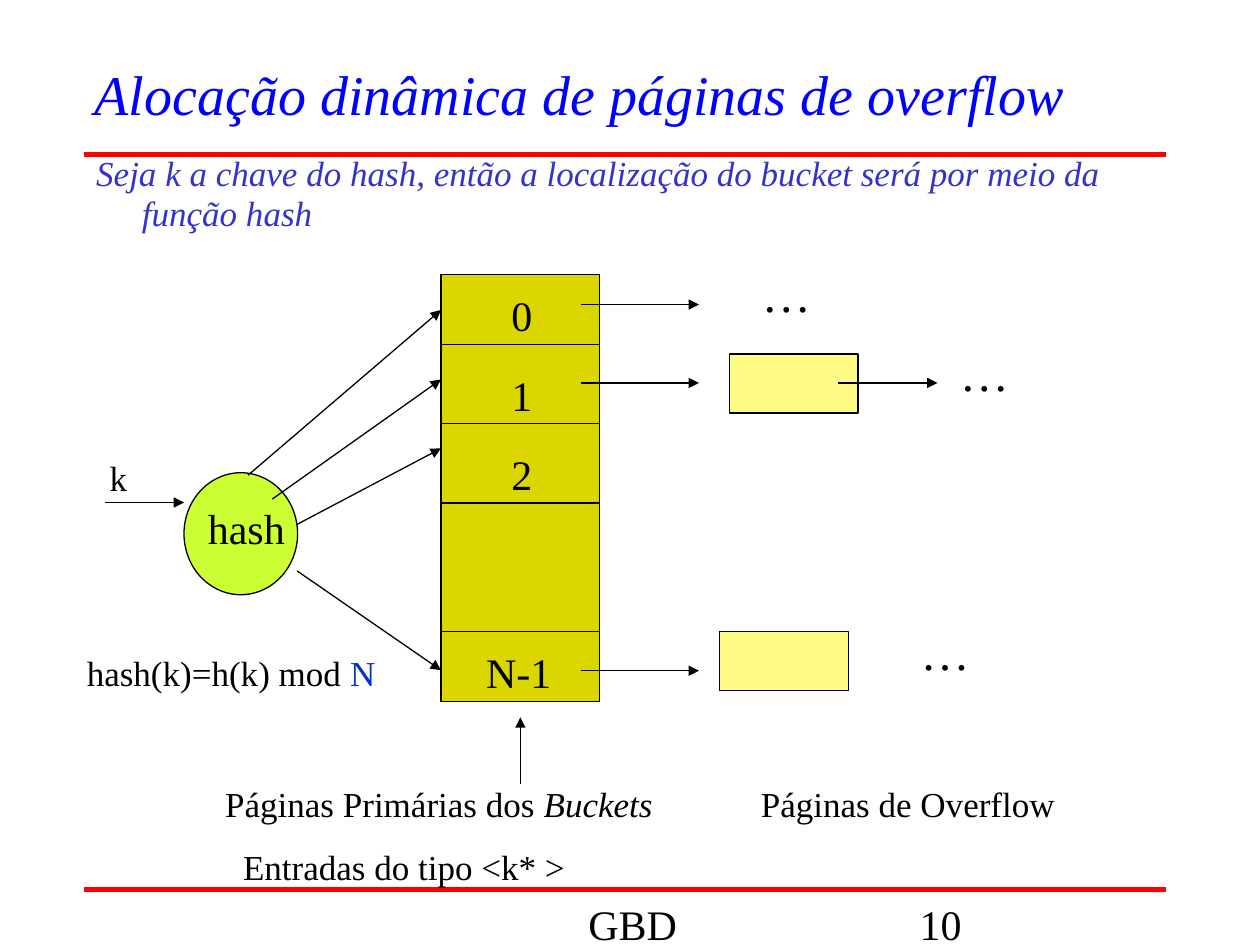
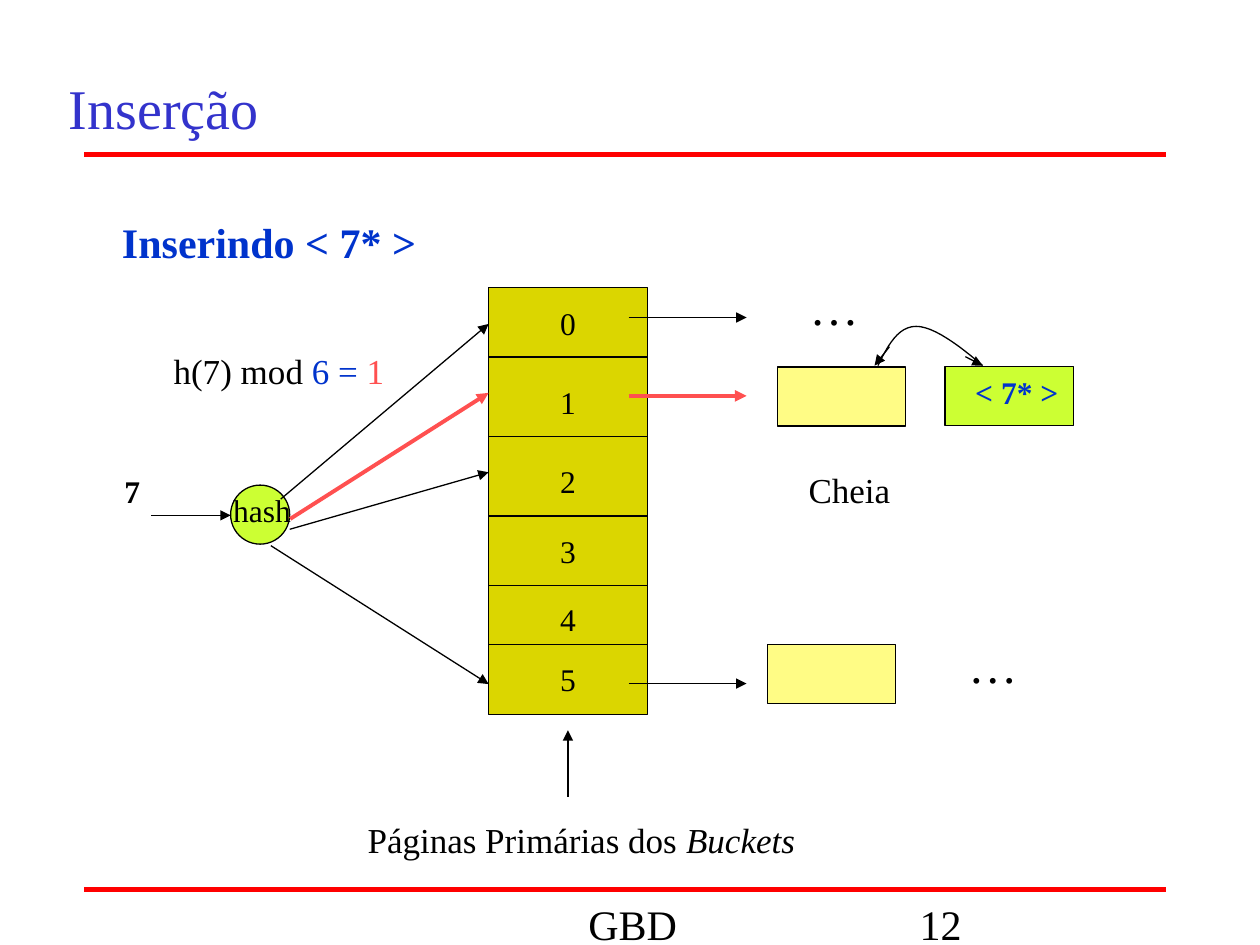
"""Builds two slides on hashing with overflow pages."""
from pptx import Presentation
from pptx import util as u
from pptx.dml.color import RGBColor
from pptx.enum import shapes, text
from pptx.oxml import xmlchemy as xc

FONT = "Times New Roman"
BLACK = RGBColor(0x00, 0x00, 0x00)
RED = RGBColor(0xFF, 0x00, 0x00)
CORAL = RGBColor(0xFF, 0x50, 0x50)
TITLE_BLUE = RGBColor(0x00, 0x00, 0xFF)
INDIGO = RGBColor(0x33, 0x33, 0xCC)
BLUE = RGBColor(0x00, 0x33, 0xCC)
BUCKET = RGBColor(0xDB, 0xD6, 0x00)
PAGE = RGBColor(0xFF, 0xFC, 0x85)
LIME = RGBColor(0xCC, 0xFF, 0x33)

RECT = shapes.MSO_SHAPE.RECTANGLE
OVAL = shapes.MSO_SHAPE.OVAL
BUCKET_W, BUCKET_H = 3.2, 8.61
PAGE_W, PAGE_H = 2.59, 1.19
CHAIN_ROWS = (0.6, 2.18, 7.98)
PRIMARY = [("Páginas Primárias dos ", {}), ("Buckets", {"italic": True})]


def box(*lengths):
    """Convert centimetres to slide lengths."""
    return [u.Cm(n) for n in lengths]


def set_all(target, **values):
    """Set several attributes of one object."""
    for name, value in values.items():
        setattr(target, name, value)


def add_run(p, words, size, color=BLACK, **fmt):
    """Append a formatted run."""
    r = p.add_run()
    r.text = words
    set_all(r.font, name=FONT, size=u.Pt(size), **fmt)
    r.font.color.rgb = color


def label(s, x, y, w, runs, size=20, h=None, wrap=False):
    """Add a text box from a string or (text, format) pairs."""
    tall = h or round(size * 0.0423 + 0.25, 2)
    tf = s.shapes.add_textbox(*box(x, y, w, tall)).text_frame
    tf.word_wrap = wrap
    sizing = text.MSO_AUTO_SIZE
    tf.auto_size = sizing.NONE if h else sizing.SHAPE_TO_FIT_TEXT
    for words, fmt in [(runs, {})] if isinstance(runs, str) else runs:
        add_run(tf.paragraphs[0], words, size, **fmt)


def line(s, x1, y1, x2, y2, color=BLACK, width=0.75, arrow=False):
    """Add a straight line, with an arrowhead at its end if asked."""
    c = s.shapes.add_connector(shapes.MSO_CONNECTOR.STRAIGHT, *box(x1, y1, x2, y2))
    c.line.color.rgb = color
    c.line.width = u.Pt(width)
    if arrow:
        head = xc.OxmlElement("a:tailEnd")
        head.set("type", "triangle")
        c.line._get_or_add_ln().append(head)
    c.element.spPr.append(xc.OxmlElement("a:effectLst"))
    return c


def arrow(s, x1, y1, x2, y2, **fmt):
    """Add an arrow."""
    return line(s, x1, y1, x2, y2, arrow=True, **fmt)


def outline(sp):
    """Give a shape a thin black outline and no shadow."""
    sp.shadow.inherit = False
    sp.line.color.rgb = BLACK
    sp.line.width = u.Pt(0.75)


def block(s, kind, x, y, w, h, fill):
    """Add a filled, outlined shape."""
    sp = s.shapes.add_shape(kind, *box(x, y, w, h))
    sp.fill.solid()
    sp.fill.fore_color.rgb = fill
    outline(sp)


def curve(s, start, *segments):
    """Add an open outline through cubic segments."""
    points, p0 = [], start
    for p1, p2, p3 in segments:
        for t in (i / 12 for i in range(1, 13)):
            weights = (1 - t) ** 3, 3 * t * (1 - t) ** 2, 3 * t * t * (1 - t), t ** 3
            points.append(box(*(sum(k * n for k, n in zip(weights, axis))
                                for axis in zip(p0, p1, p2, p3))))
        p0 = p3
    builder = s.shapes.build_freeform(*box(*start))
    builder.add_line_segments(points, close=False)
    sp = builder.convert_to_shape()
    sp.fill.background()
    outline(sp)


def fill_placeholder(sp, place, words, size, color, anchor, inset=(0, 0), **fmt):
    """Place and format a title or body placeholder."""
    set_all(sp, **dict(zip(("left", "top", "width", "height"), box(*place))))
    tf = sp.text_frame
    across, down = box(*inset)
    set_all(tf, margin_left=across, margin_right=across, margin_top=down,
            margin_bottom=down, vertical_anchor=anchor, word_wrap=True,
            auto_size=text.MSO_AUTO_SIZE.NONE)
    p = tf.paragraphs[0]
    set_all(p, alignment=text.PP_ALIGN.LEFT, line_spacing=0.95, space_before=u.Pt(0))
    add_run(p, words, size, color, **fmt)
    return p


def rules_on_master(prs, s):
    """Put the two red rules on the slide master."""
    for i, y in enumerate((3.12, 17.93)):
        c = line(s, 1.7, y, 23.5, y, RED, 3)
        c.element.nvCxnSpPr.cNvPr.id = 20 + i
        prs.slide_master.shapes.element.append(c.element)


def footer(s, number):
    """Add the course name and slide number."""
    for x, w, words in ((11.61, 3.96, "GBD"), (18.29, 5.11, number)):
        label(s, x, 17.98, w, words, 24, h=0.79, wrap=True)


def buckets(s, x, y, dividers, labels, size, hot_row=None):
    """Draw the primary pages, their chains and overflow pages."""
    block(s, RECT, x, y, BUCKET_W, BUCKET_H, BUCKET)
    for dy in dividers:
        line(s, x, y + dy, x + BUCKET_W, y + dy)
    for words, dx, dy, w in labels:
        label(s, x + dx, y + dy, w, words, size)
    for dx, dy in ((5.82, 1.6), (5.62, 7.19)):
        block(s, RECT, x + dx, y + dy, PAGE_W, PAGE_H, PAGE)
    for row, dy in enumerate(CHAIN_ROWS):
        arrow(s, x + 2.82, y + dy, x + 5.2, y + dy, **emphasis(row == hot_row))
    for dx, dy in ((6.22, -0.36), (9.42, 6.86)):
        label(s, x + dx, y + dy, 1.5, "…", 28)
    arrow(s, x + 1.6, y + 10.26, x + 1.6, y + 8.92)


def emphasis(hot):
    """Return the line format of a followed or an ordinary arrow."""
    return {"color": CORAL, "width": 2.25} if hot else {}


def fan(s, x, starts, ends, hot_row=None):
    """Draw the arrows from the hash function to the buckets."""
    for row, (start, y) in enumerate(zip(starts, ends)):
        arrow(s, *start, x, y, **emphasis(row == hot_row))


def overflow_slide(s):
    """Build the slide on dynamic overflow allocation."""
    fill_placeholder(s.shapes.title, (1.91, 0.66, 21.54, 2.57),
                     "Alocação dinâmica de páginas de overflow", 32, TITLE_BLUE,
                     text.MSO_ANCHOR.MIDDLE, italic=True)
    p = fill_placeholder(
        s.placeholders[1], (1.91, 3.12, 21.54, 14.73),
        "Seja k a chave do hash, então a localização do bucket será por meio da função hash",
        20, INDIGO, text.MSO_ANCHOR.TOP, italic=True)
    pPr = p._p.get_or_add_pPr()
    pPr.set("marL", str(u.Cm(0.95)))
    pPr.set("indent", str(u.Cm(-0.92)))
    pPr.append(xc.OxmlElement("a:buNone"))

    label(s, 4.65, 16.92, 9.86, "Entradas do tipo <k* >", wrap=True)
    x, y = 8.89, 5.54
    names = [(str(i), 1.17, 0.18 + 1.6 * i, 0.91) for i in range(3)]
    buckets(s, x, y, (1.4, 3, 4.6, 7.19), names + [("N-1", 0.66, 7.37, 1.83)], 24)
    block(s, OVAL, 3.71, 9.53, 2.29, 2.46, LIME)
    label(s, 3.94, 10.01, 2.06, "hash", 24)
    arrow(s, 2.11, 10.13, 3.71, 10.13)
    fan(s, x, ((5, 9.58), (5.49, 10.06), (5.99, 10.57), (5.99, 11.51)),
        (6.25, 7.65, 9.04, 13.51))
    label(s, 1.5, 13, 6.32, [("hash(k)=h(k) mod ", {}), ("N", {"color": BLUE})])
    label(s, 1.96, 9.07, 0.86, "k")
    label(s, 4.29, 15.65, 9.12, PRIMARY)
    label(s, 15.09, 15.65, 6.43, "Páginas de Overflow")
    label(s, 19.1, 6.78, 1.5, "…", 28)
    arrow(s, 16.89, 7.72, 18.9, 7.72)


def insertion_slide(s):
    """Build the slide on inserting an entry."""
    fill_placeholder(s.shapes.title, (1.14, 0.48, 22.86, 2.51), "Inserção", 32, INDIGO,
                     text.MSO_ANCHOR.BOTTOM, (0.25, 0.13))
    x, y = 9.85, 5.8
    tops = (0.2, 1.8, 3.38, 4.8, 6.17, 7.39)
    names = [(str(i), 1.19, top, 0.81) for i, top in enumerate(tops)]
    buckets(s, x, y, (1.4, 3, 4.6, 6, 7.19), names, 18, hot_row=1)
    block(s, OVAL, 4.65, 9.78, 1.19, 1.19, LIME)
    label(s, 4.45, 9.78, 1.68, "hash", 18)
    arrow(s, 3.05, 10.39, 4.65, 10.39)
    fan(s, x, ((5.66, 10.06), (5.85, 10.46), (5.84, 10.67), (5.46, 11)),
        (6.53, 7.92, 9.52, 13.79), hot_row=1)
    label(s, 3.25, 6.93, 4.75, [("h(7) mod ", {}), ("6 = ", {"color": BLUE}),
                                ("1", {"color": CORAL})])
    label(s, 2.26, 9.4, 0.81, [("7", {"bold": True})], 18)
    label(s, 7.16, 16.38, 9.12, PRIMARY)
    strong = {"color": BLUE, "bold": True}
    label(s, 2.21, 4.24, 6.43, [("Inserindo < 7* >", strong)], 24)
    block(s, RECT, 19.05, 7.39, PAGE_W, PAGE_H, LIME)
    curve(s, (17.7, 7.37), ((17.9, 6.96), (18.11, 6.58), (18.47, 6.58)),
          ((18.82, 6.58), (19.33, 6.96), (19.81, 7.37)))
    arrow(s, 17.93, 6.99, 17.63, 7.37)
    arrow(s, 19.46, 7.19, 19.81, 7.37)
    label(s, 19.41, 7.39, 2.18, [("< 7* >", strong)], 18)
    label(s, 16.05, 9.32, 2.34, "Cheia")


def main():
    """Build and save the presentation."""
    prs = Presentation()
    prs.slide_width, prs.slide_height = box(25.4, 19.05)
    pages = ((1, overflow_slide, "10"), (5, insertion_slide, "12"))
    for layout, build, number in pages:
        s = prs.slides.add_slide(prs.slide_layouts[layout])
        build(s)
        footer(s, number)
    rules_on_master(prs, prs.slides[0])
    prs.save("out.pptx")


if __name__ == "__main__":
    main()
